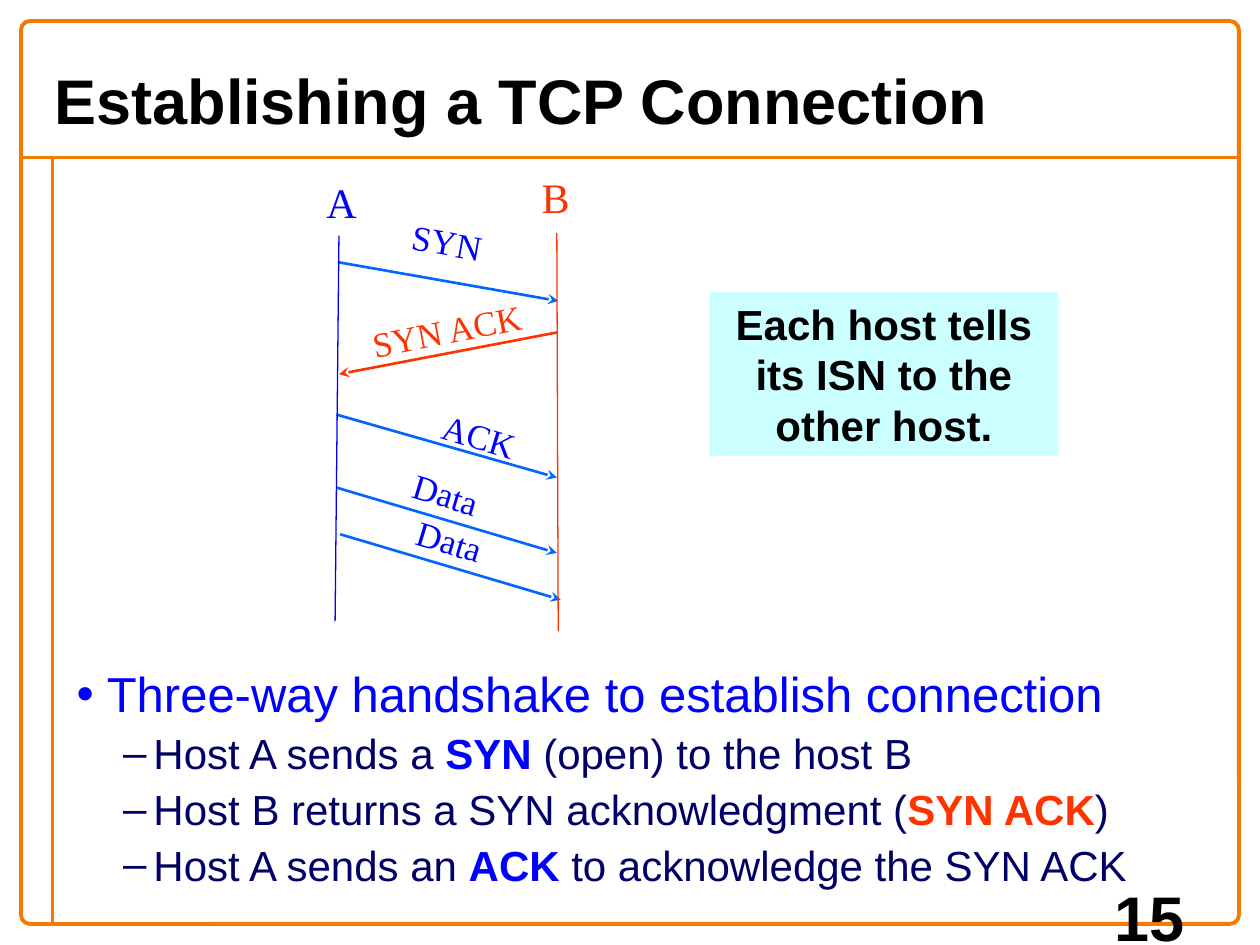
from typing import NamedTuple

from lxml import etree
from pptx import Presentation
from pptx import util as u
from pptx.dml.color import RGBColor
from pptx.enum import shapes, text
from pptx.oxml.ns import qn

Pt = u.Pt
COLORS = {
    "frame": "F47A00", "black": "000000", "blue": "0000FF", "navy": "000066",
    "red": "FF3300", "arrow": "0066FF", "callout": "CCFFFF",
}
SANS, SERIF = "Arial", "Times New Roman"


class Line(NamedTuple):
    start: tuple[float, float]
    end: tuple[float, float]
    color: str
    width: float = 1.5
    arrow: bool = True


class Label(NamedTuple):
    words: str
    box: tuple[float, float, float, float]
    color: str
    rotation: float = 0
    size: float = 20


class Span(NamedTuple):
    words: str
    color: str
    bold: bool = False


class Bullet(NamedTuple):
    level: int
    spans: list[Span]


class BulletStyle(NamedTuple):
    mark: str
    color: str
    size: float
    margin: float
    space_before: float


FRAME_LINES = [
    Line((12, 90), (708, 90), "frame", 2.25, False),
    Line((30, 90), (30, 528), "frame", 2.25, False),
]
DIAGRAM_LINES = [
    Line((193, 149.8), (319, 172), "arrow"),
    Line((318.2, 190), (193.7, 213.8), "red"),
    Line((192.2, 236.9), (318.2, 272.9), "arrow"),
    Line((192.2, 278.6), (318.2, 316), "arrow"),
    Line((194.4, 305.3), (320.4, 342.7), "arrow"),
    Line((318.2, 133.2), (319, 360.7), "red", 0.75, False),
    Line((193.7, 134.6), (191.5, 355), "blue", 0.75, False),
]
LABELS = [
    Label("SYN", (228.2, 122.4, 54.7, 31.7), "blue", 10),
    Label("SYN ACK", (203.8, 172.8, 103, 31.7), "red", 349),
    Label("ACK", (245.5, 233.3, 56.9, 31.7), "blue", 17),
    Label("Data", (229, 266.4, 51.8, 31.7), "blue", 17),
    Label("Data", (231.1, 293, 51.8, 31.7), "blue", 17),
    Label("A", (179.3, 97.2, 31.7, 36), "blue", size=24),
    Label("B", (302.4, 94.3, 30.2, 36), "red", size=24),
]
HANGING = 17.28
STYLES = [
    BulletStyle("•", "blue", 28, HANGING, 0),
    BulletStyle("–", "navy", 24, 43.92, 3),
]
BULLETS = [
    Bullet(0, [Span("Three-way handshake to establish connection", "blue")]),
    Bullet(1, [Span("Host A sends a ", "navy"), Span("SYN", "blue", True),
               Span(" (open) to the host B", "navy")]),
    Bullet(1, [Span("Host B returns a SYN acknowledgment (", "navy"),
               Span("SYN ACK", "red", True), Span(")", "navy")]),
    Bullet(1, [Span("Host A sends an ", "navy"), Span("ACK", "blue", True),
               Span(" to acknowledge the SYN ACK", "navy")]),
]


def rgb(name: str) -> RGBColor:
    return RGBColor.from_string(COLORS[name])


def points(values) -> list[int]:
    return [Pt(value) for value in values]


def add_run(paragraph, span: Span, size: float, font: str = SANS) -> None:
    run = paragraph.add_run()
    run.text = span.words
    run.font.name = font
    run.font.size = Pt(size)
    run.font.bold = span.bold
    run.font.color.rgb = rgb(span.color)


def add_line(slide, line: Line) -> None:
    connector = slide.shapes.add_connector(
        shapes.MSO_CONNECTOR.STRAIGHT, *points(line.start + line.end))
    connector.line.color.rgb = rgb(line.color)
    connector.line.width = Pt(line.width)
    if line.arrow:
        outline = connector.line._get_or_add_ln()
        etree.SubElement(outline, qn("a:tailEnd"), type="stealth")
    etree.SubElement(connector._element.spPr, qn("a:effectLst"))


def add_frame(slide) -> None:
    for line in FRAME_LINES:
        add_line(slide, line)
    frame = slide.shapes.add_shape(
        shapes.MSO_SHAPE.ROUNDED_RECTANGLE, *points((12, 12, 696, 516)))
    frame.adjustments[0] = 0.01
    frame.shadow.inherit = False
    frame.fill.background()
    frame.line.color.rgb = rgb("frame")
    frame.line.width = Pt(2.25)


def add_title(slide, words: str) -> None:
    title = slide.shapes.title
    title.left, title.top, title.width, title.height = points((24, 30, 635, 54))
    title.text_frame.auto_size = text.MSO_AUTO_SIZE.NONE
    title.text_frame.vertical_anchor = text.MSO_ANCHOR.MIDDLE
    paragraph = title.text_frame.paragraphs[0]
    paragraph.alignment = text.PP_ALIGN.LEFT
    add_run(paragraph, Span(words, "black", True), 36)


def add_label(slide, label: Label) -> None:
    shape = slide.shapes.add_textbox(*points(label.box))
    shape.rotation = label.rotation
    frame = shape.text_frame
    frame.word_wrap = True
    frame.margin_left = frame.margin_right = 0
    frame.vertical_anchor = text.MSO_ANCHOR.MIDDLE
    paragraph = frame.paragraphs[0]
    paragraph.alignment = text.PP_ALIGN.CENTER
    add_run(paragraph, Span(label.words, label.color), label.size, SERIF)


def add_callout(slide, words: str) -> None:
    shape = slide.shapes.add_shape(
        shapes.MSO_SHAPE.RECTANGLE, *points((405.4, 167, 199.4, 93.6)))
    shape.shadow.inherit = False
    shape.fill.solid()
    shape.fill.fore_color.rgb = rgb("callout")
    shape.line.fill.background()
    shape.text_frame.word_wrap = True
    shape.text_frame.vertical_anchor = text.MSO_ANCHOR.TOP
    paragraph = shape.text_frame.paragraphs[0]
    paragraph.alignment = text.PP_ALIGN.CENTER
    add_run(paragraph, Span(words, "black", True), 24)


def add_bullets(slide, bullets: list[Bullet]) -> None:
    shape = slide.shapes.add_textbox(*points((36.7, 375.8, 666, 152.6)))
    frame = shape.text_frame
    frame.word_wrap = True
    for index, bullet in enumerate(bullets):
        style = STYLES[bullet.level]
        paragraph = frame.add_paragraph() if index else frame.paragraphs[0]
        paragraph.level = bullet.level
        paragraph.space_before = Pt(style.space_before)
        properties = paragraph._p.get_or_add_pPr()
        properties.set("marL", str(Pt(style.margin)))
        properties.set("indent", str(Pt(-HANGING)))
        color = etree.SubElement(properties, qn("a:buClr"))
        etree.SubElement(color, qn("a:srgbClr"), val=COLORS[style.color])
        etree.SubElement(properties, qn("a:buFont"), typeface=SANS)
        etree.SubElement(properties, qn("a:buChar"), char=style.mark)
        for span in bullet.spans:
            add_run(paragraph, span, style.size)


def add_page_number(slide, number: str) -> None:
    shape = slide.shapes.add_textbox(*points((630, 498.2, 72, 29.5)))
    shape.text_frame.word_wrap = True
    add_run(shape.text_frame.paragraphs[0], Span(number, "black", True), 36)


def main() -> None:
    presentation = Presentation()
    presentation.slide_width, presentation.slide_height = Pt(720), Pt(540)
    slide = presentation.slides.add_slide(presentation.slide_layouts[5])
    add_frame(slide)
    add_page_number(slide, "15")
    add_title(slide, "Establishing a TCP Connection")
    add_bullets(slide, BULLETS)
    for line in DIAGRAM_LINES:
        add_line(slide, line)
    for label in LABELS:
        add_label(slide, label)
    add_callout(slide, "Each host tells its ISN to the other host.")
    presentation.save("out.pptx")


if __name__ == "__main__":
    main()
